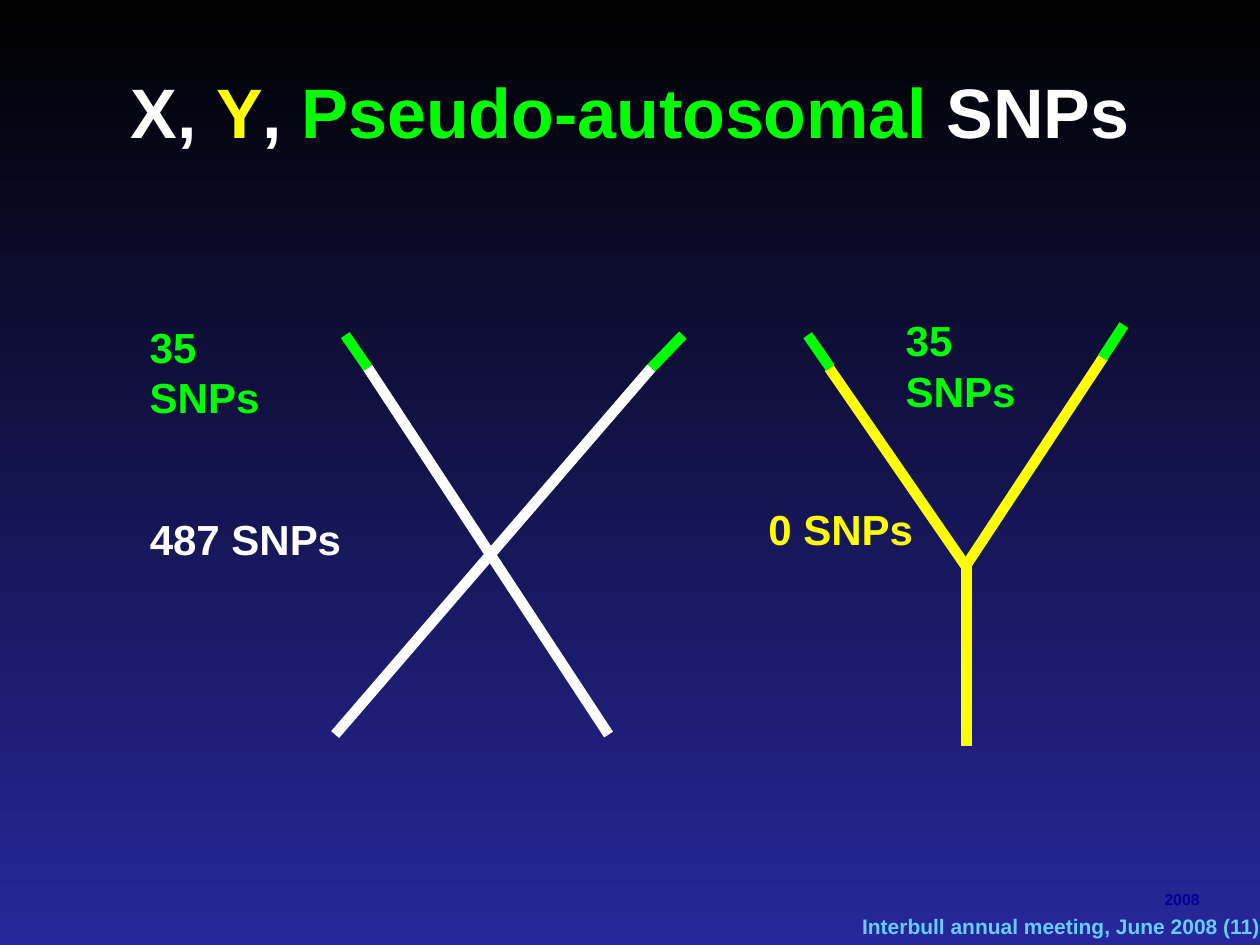
import pptx
import pptx.util
import pptx.dml.color
import pptx.enum.shapes
import pptx.enum.text
import pptx.oxml.ns
import lxml.etree

Inches = pptx.util.Inches
Anchor = pptx.enum.text.MSO_ANCHOR
Align = pptx.enum.text.PP_ALIGN

COLORS = {"x": "FFFFFF", "y": "FFFF00", "shared": "00FF00", "meeting": "66CCFF",
          "year": "000099", "top": "000000", "bottom": "27279B"}

# Content
TITLE = [("X, ", "x"), ("Y", "y"), (", ", "x"),
         ("Pseudo-autosomal", "shared"), (" SNPs", "x")]

# Chromosome arms: start, end, colour
ARMS = [
    ((2.92, 2.92), (4.83, 5.83), "x"),
    ((5.17, 2.92), (2.66, 5.83), "x"),
    ((6.58, 2.92), (7.67, 4.5), "y"),
    ((8.76, 2.83), (7.66, 4.5), "y"),
    ((7.67, 4.5), (7.67, 5.92), "y"),
    ((2.92, 2.92), (2.74, 2.66), "shared"),
    ((5.17, 2.92), (5.42, 2.66), "shared"),
    ((6.59, 2.92), (6.41, 2.66), "shared"),
    ((8.75, 2.84), (8.92, 2.58), "shared"),
]

# SNP counts: text, colour, left, top, width
COUNTS = [
    ("487 SNPs", "x", 1.09, 4.03, 1.72),
    ("35 SNPs", "shared", 1.09, 2.5, 1.53),
    ("0 SNPs", "y", 6, 3.95, 1.35),
    ("35 SNPs", "shared", 7.09, 2.45, 1.53),
]

# Footer lines: text, colour, size, box
FOOTERS = [
    ("Interbull annual meeting, June 2008 (11)", "meeting", 12, (5.61, 7.25, 4.39, 0.2)),
    ("2008", "year", 9, (8.52, 7.04, 1, 0.2)),
]


def rgb(color):
    return pptx.dml.color.RGBColor.from_string(COLORS[color])


def write(frame, runs, size, align, **frame_format):
    for name, value in frame_format.items():
        setattr(frame, name, value)
    paragraph = frame.paragraphs[0]
    paragraph.alignment = align
    for text, color in runs:
        run = paragraph.add_run()
        run.text = text
        font_format = {"name": "Arial", "size": pptx.util.Pt(size), "bold": True}
        for name, value in font_format.items():
            setattr(run.font, name, value)
        run.font.color.rgb = rgb(color)


def draw_arm(slide, start, end, color):
    points = [Inches(value) for value in start + end]
    arm = slide.shapes.add_connector(pptx.enum.shapes.MSO_CONNECTOR.STRAIGHT, *points)
    arm.line.color.rgb = rgb(color)
    arm.line.width = pptx.util.Pt(6)
    properties = arm._element.spPr
    lxml.etree.SubElement(properties, pptx.oxml.ns.qn("a:effectLst"))


def main():
    deck = pptx.Presentation()
    deck.slide_width, deck.slide_height = Inches(10), Inches(7.5)
    slide = deck.slides.add_slide(deck.slide_layouts[5])

    # Background, dark at the top
    background = slide.background.fill
    background.gradient()
    background.gradient_angle = 270
    for stop, color, position in zip(background.gradient_stops, ("top", "bottom"), (0, 1)):
        stop.color.rgb = rgb(color)
        stop.position = position

    # Footer
    no_margins = dict.fromkeys(
        ("margin_left", "margin_top", "margin_right", "margin_bottom"), 0)
    for text, color, size, box in FOOTERS:
        footer = slide.shapes.add_textbox(*map(Inches, box))
        write(footer.text_frame, [(text, color)], size, Align.RIGHT, word_wrap=True,
              vertical_anchor=Anchor.MIDDLE, **no_margins)

    # Title
    title = slide.shapes.title
    title_box = {"left": 0.25, "top": 0.25, "width": 9.5, "height": 1.25}
    for name, value in title_box.items():
        setattr(title, name, Inches(value))
    write(title.text_frame, TITLE, 40, Align.CENTER, word_wrap=True,
          vertical_anchor=Anchor.MIDDLE, auto_size=pptx.enum.text.MSO_AUTO_SIZE.NONE)

    # X and Y chromosomes with their shared tips
    for start, end, color in ARMS:
        draw_arm(slide, start, end, color)

    # SNP counts
    for text, color, left, top, width in COUNTS:
        count = slide.shapes.add_textbox(*map(Inches, (left, top, width, 0.5)))
        write(count.text_frame, [(text, color)], 24, Align.LEFT, word_wrap=False)

    deck.save("out.pptx")


if __name__ == "__main__":
    main()
